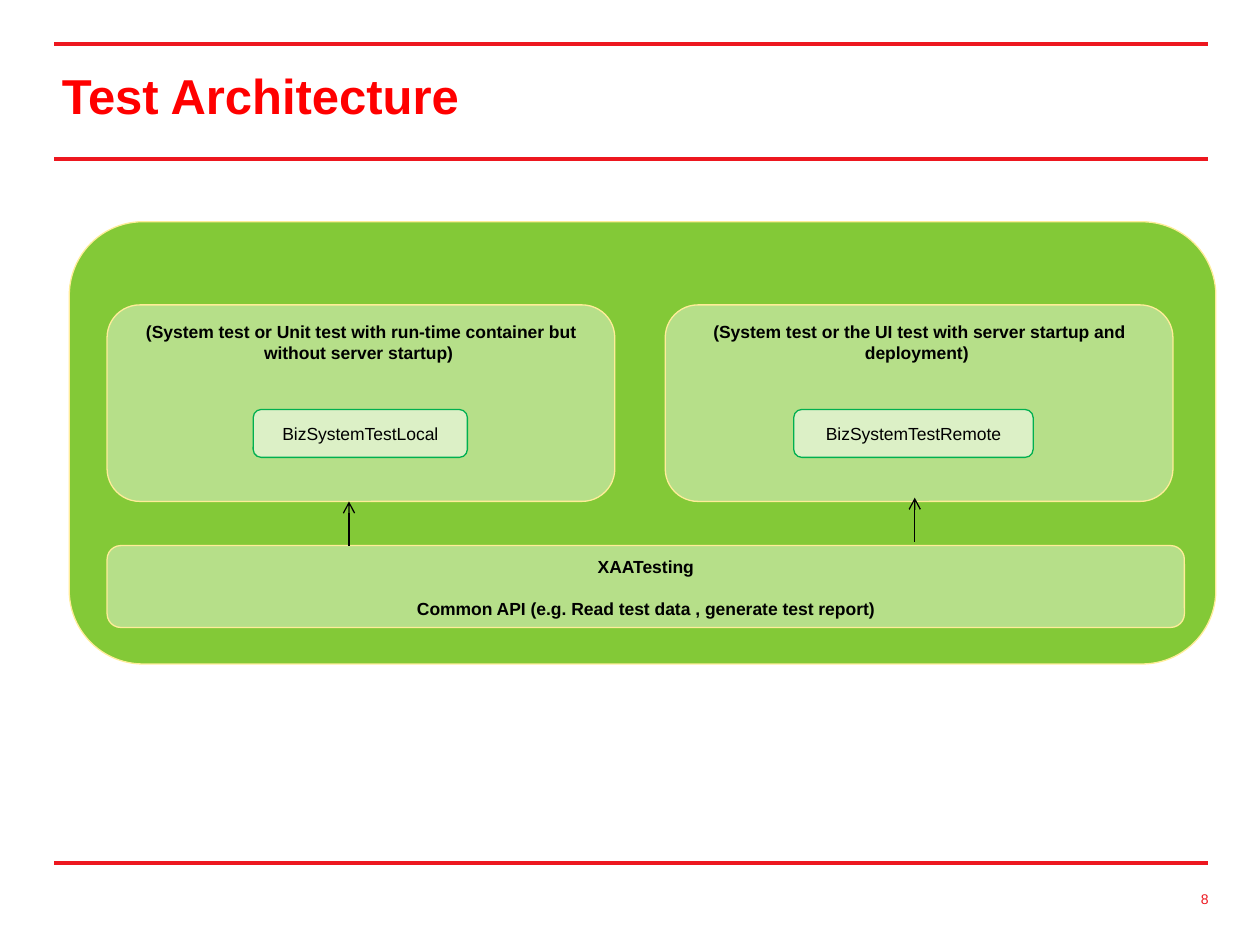
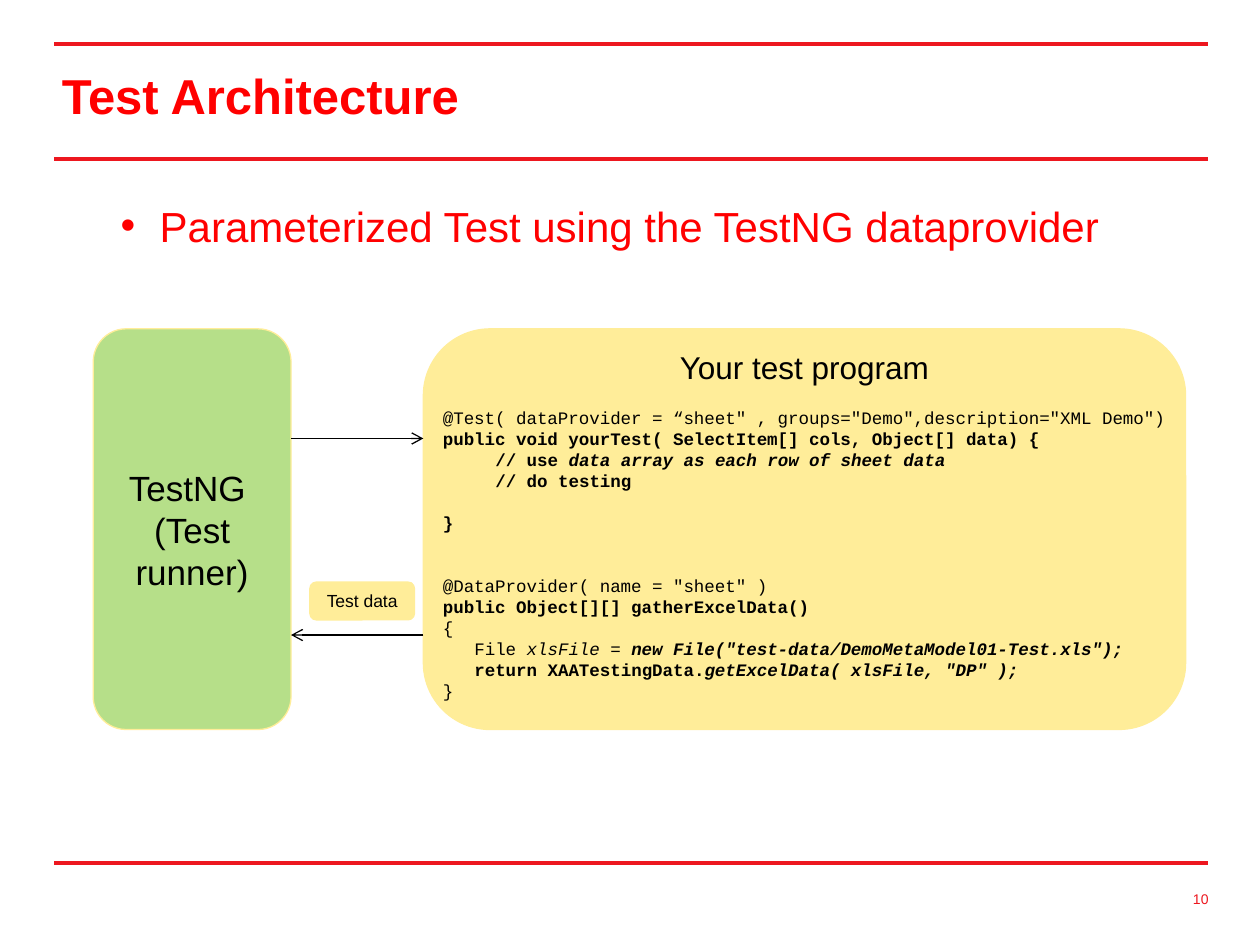
"""Build two slides on a test architecture."""
from lxml.etree import SubElement
from pptx import Presentation
from pptx.dml.color import RGBColor
from pptx.enum.shapes import MSO_CONNECTOR, MSO_SHAPE
from pptx.enum.text import MSO_ANCHOR, PP_ALIGN
from pptx.oxml.ns import qn
from pptx.util import Inches, Pt

RULE_RED = RGBColor(0xED, 0x17, 0x1F)
TEXT_RED = RGBColor(0xFF, 0x00, 0x00)
BLACK = RGBColor(0x00, 0x00, 0x00)
GREEN = RGBColor(0x83, 0xC9, 0x37)
LIGHT_GREEN = RGBColor(0xB6, 0xDF, 0x89)
PALE_GREEN = RGBColor(0xDC, 0xF0, 0xC6)
EDGE_GREEN = RGBColor(0x00, 0xB0, 0x50)
YELLOW = RGBColor(0xFF, 0xED, 0x99)
SANS, MONO = "Arial", "Courier New"
LINE_FACTOR = 1.2
CODE_SIZE = 10
CODE_CHAR = 0.6 * CODE_SIZE / 72
BOLD, ITALIC = "b", "i"

CODE = [
    (1, 0, [('@Test( dataProvider = “sheet" , groups="Demo",description="XML Demo")', "")]),
    (0, 0, [("public void yourTest( SelectItem[] cols, Object[] data) {", BOLD)]),
    (0, 5, [("// use ", BOLD), ("data array as each row of sheet data", BOLD + ITALIC)]),
    (0, 5, [("// do testing", BOLD)]),
    (1, 0, [("}", BOLD)]),
    (2, 0, [('@DataProvider( name = "sheet" )', "")]),
    (0, 0, [("public Object[][] gatherExcelData()", BOLD)]),
    (0, 0, [("{", "")]),
    (0, 3, [("File ", ""), ("xlsFile = ", ITALIC),
            ('new File("test-data/DemoMetaModel01-Test.xls");', BOLD + ITALIC)]),
    (0, 3, [("return XAATestingData.", BOLD),
            ('getExcelData( xlsFile, "DP" );', BOLD + ITALIC)]),
    (0, 0, [("}", "")]),
]


def add_run(p, text, size, color=BLACK, style="", font=SANS):
    """Append a formatted run to a paragraph."""
    r = p.add_run()
    r.text = text
    r.font.name, r.font.size = font, Pt(size)
    r.font.bold, r.font.italic = BOLD in style, ITALIC in style
    r.font.color.rgb = color


def add_paragraph(tf, runs, size, align=PP_ALIGN.CENTER, font=SANS, gap=0):
    """Add a paragraph of (text, style) runs, with a gap counted in lines above."""
    p = tf.add_paragraph() if tf.paragraphs[0].runs else tf.paragraphs[0]
    p.alignment = align
    p.line_spacing = Pt(size * LINE_FACTOR)
    p.space_before = Pt(gap * CODE_SIZE * LINE_FACTOR)
    for text, style in runs:
        add_run(p, text, size, style=style, font=font)
    return p


def add_box(s, box, fill, edge=YELLOW, anchor=MSO_ANCHOR.TOP):
    """Draw a rounded box and return its text frame."""
    sp = s.shapes.add_shape(MSO_SHAPE.ROUNDED_RECTANGLE, *map(Inches, box))
    sp.shadow.inherit = False
    sp.fill.solid()
    sp.fill.fore_color.rgb = fill
    sp.line.color.rgb = edge
    sp.line.width = Pt(0.75)
    tf = sp.text_frame
    tf.word_wrap = True
    tf.vertical_anchor = anchor
    return tf


def add_line(s, start, end, color=BLACK, width=0.75, arrow=True):
    """Draw a straight line, with an open arrowhead at its end if wanted."""
    c = s.shapes.add_connector(MSO_CONNECTOR.STRAIGHT, *map(Inches, (*start, *end)))
    c.line.color.rgb = color
    c.line.width = Pt(width)
    if arrow:
        SubElement(c.line._get_or_add_ln(), qn("a:tailEnd"), type="arrow")
    SubElement(c._element.spPr, qn("a:effectLst"))


def add_base_slide(prs, title, number):
    """Add a slide with its title, red rules and page number."""
    s = prs.slides.add_slide(prs.slide_layouts[5])
    for y in (0.35, 1.26, 6.85):
        add_line(s, (0.43, y), (9.59, y), RULE_RED, 2.25, arrow=False)
    sp = s.shapes.title
    sp.left, sp.top, sp.width, sp.height = map(Inches, (0.49, 0.36, 9.18, 0.87))
    tf = sp.text_frame
    tf.margin_left = 0
    tf.vertical_anchor = MSO_ANCHOR.MIDDLE
    p = tf.paragraphs[0]
    p.alignment = PP_ALIGN.LEFT
    p.line_spacing = Pt(28)
    add_run(p, title, 28, TEXT_RED, BOLD)
    sp = s.shapes.add_textbox(*map(Inches, (8.64, 7.02, 1.05, 0.31)))
    sp.text_frame.word_wrap = True
    p = sp.text_frame.paragraphs[0]
    p.alignment = PP_ALIGN.RIGHT
    add_run(p, str(number), 8, RULE_RED)
    return s


def add_test_kind(s, box, caption, name, name_width, name_offset):
    """Draw a captioned test area holding one class box."""
    x, y, w, h = box
    add_paragraph(add_box(s, box, LIGHT_GREEN), [(caption, BOLD)], 10)
    tf = add_box(s, (x + name_offset, y + 0.83, name_width, 0.38),
                 PALE_GREEN, EDGE_GREEN, MSO_ANCHOR.MIDDLE)
    add_paragraph(tf, [(name, "")], 10)


def add_architecture(s, box):
    """Draw the two kinds of test resting on the common API."""
    x, y, w, h = box
    add_box(s, box, GREEN)
    kind_y, kind_w, kind_h = y + 0.66, 4.03, 1.56
    add_test_kind(s, (x + 0.3, kind_y, kind_w, kind_h),
                  "(System test or Unit test with run-time container but "
                  "without server startup) ", "BizSystemTestLocal", 1.7, 1.16)
    add_test_kind(s, (x + 4.73, kind_y, kind_w, kind_h),
                  "(System test or the UI test with server startup and "
                  "deployment) ", "BizSystemTestRemote", 1.9, 1.02)
    api_y = y + 2.57
    tf = add_box(s, (x + 0.3, api_y, w - 0.55, 0.65), LIGHT_GREEN)
    add_paragraph(tf, [("XAATesting", BOLD)], 10)
    add_paragraph(tf, [("Common API (e.g. Read test data , generate test report)", BOLD)],
                  10, gap=1)
    for arrow_x, lift in ((x + 2.22, 0), (x + 6.71, 0.03)):
        add_line(s, (arrow_x, api_y - lift), (arrow_x, kind_y + kind_h - lift))


def add_bullet(s, box, text):
    """Write one large bulleted statement."""
    sp = s.shapes.add_textbox(*map(Inches, box))
    sp.text_frame.word_wrap = True
    p = sp.text_frame.paragraphs[0]
    add_run(p, text, 24, TEXT_RED)
    pPr = p._p.get_or_add_pPr()
    pPr.set("marL", str(Inches(0.31)))
    pPr.set("indent", str(-Inches(0.31)))
    color = SubElement(SubElement(pPr, qn("a:buClr")), qn("a:srgbClr"))
    color.set("val", str(TEXT_RED))
    SubElement(pPr, qn("a:buFont"), typeface=SANS)
    SubElement(pPr, qn("a:buChar"), char="•")


def add_program(s, box):
    """Draw the test program box with its code."""
    tf = add_box(s, box, YELLOW)
    tf.margin_left = tf.margin_right = tf.margin_top = tf.margin_bottom = 0
    add_paragraph(tf, [("Your test program", "")], 18)
    for gap, indent, runs in CODE:
        p = add_paragraph(tf, runs, CODE_SIZE, PP_ALIGN.LEFT, MONO, gap)
        p._p.get_or_add_pPr().set("marL", str(Inches(indent * CODE_CHAR)))


def add_data_flow(s, box):
    """Draw the runner, the test program and the calls between them."""
    x, y, w, h = box
    runner_w, program_w = 1.57, 6.05
    tf = add_box(s, (x, y, runner_w, h), LIGHT_GREEN, anchor=MSO_ANCHOR.MIDDLE)
    for text in ("TestNG ", "(Test runner)"):
        add_paragraph(tf, [(text, "")], 20)
    runner_x, program_x = x + runner_w, x + w - program_w
    add_program(s, (program_x, y, program_w, h))
    add_line(s, (runner_x, y + 0.87), (program_x, y + 0.87))
    add_line(s, (program_x, y + 2.43), (runner_x, y + 2.43))
    tf = add_box(s, (runner_x + 0.15, y + 2.01, 0.83, 0.3), YELLOW)
    add_paragraph(tf, [("Test data", "")], 10)


def main():
    """Build and save the slides."""
    prs = Presentation()
    prs.slide_width, prs.slide_height = Inches(10), Inches(7.5)
    s = add_base_slide(prs, "Test Architecture", 8)
    add_architecture(s, (0.55, 1.76, 9.1, 3.51))
    s = add_base_slide(prs, "Test Architecture", 10)
    add_bullet(s, (0.86, 1.54, 8.26, 0.5),
               "Parameterized Test using the TestNG dataprovider")
    add_data_flow(s, (0.74, 2.61, 8.67, 3.18))
    prs.save("out.pptx")


if __name__ == "__main__":
    main()
